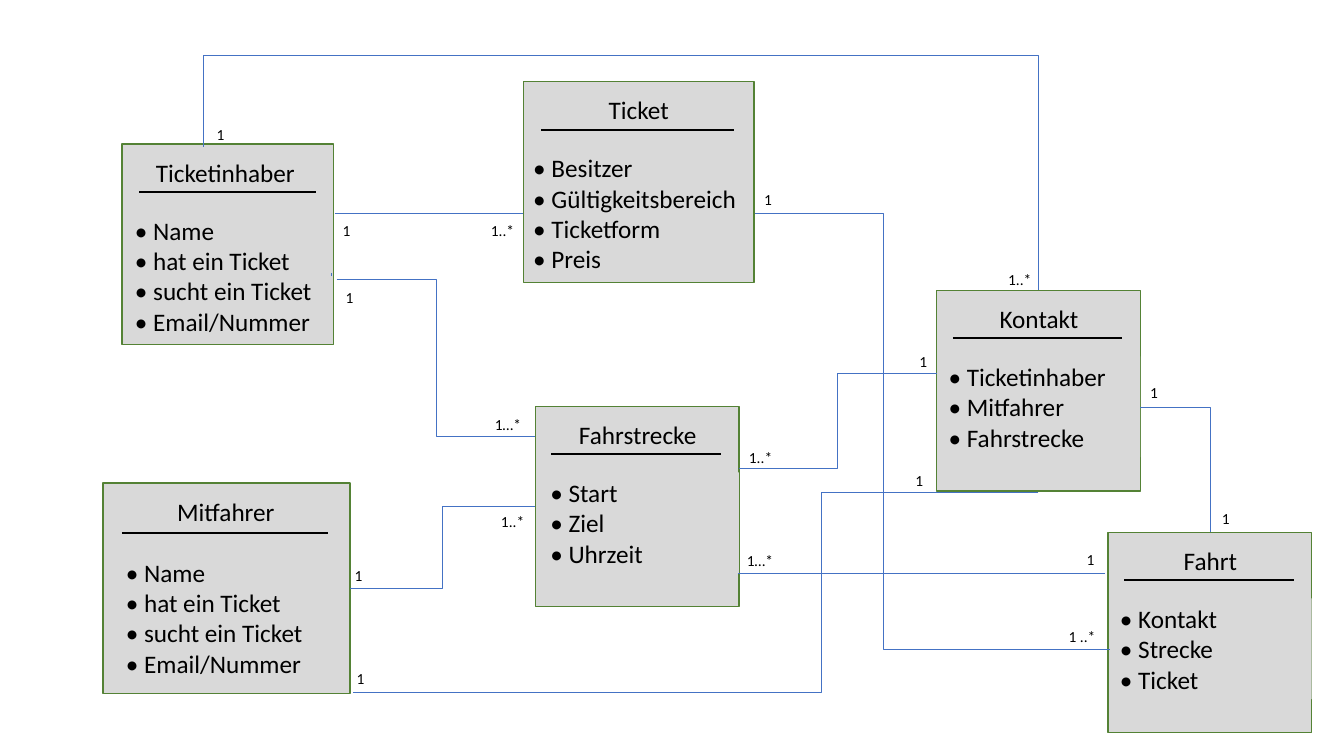
from lxml import etree
from pptx import Presentation
from pptx.dml.color import RGBColor
from pptx.enum import shapes, text
from pptx.oxml import ns
from pptx.util import Inches, Pt

GREY, GREEN, BLUE, BLACK = "D9D9D9", "548235", "4472C4", "000000"
PERSON = ["Name", "hat ein Ticket", "sucht ein Ticket", "Email/Nummer"]

# name, box (left, top, width, height), title (left, width),
# divider (left, right), attribute list (left, width), panel fill, attributes
CLASSES = [
    ("Ticketinhaber", (1.21, 1.43, 2.1, 1.99), (1.4, 1.67), (1.38, 3.13),
     (1.24, 2.03), GREY, PERSON),
    ("Ticket", (5.19, 0.81, 2.29, 1.99), (5.55, 1.57), (5.37, 7.28),
     (5.19, 2.29), None, ["Besitzer", "Gültigkeitsbereich", "Ticketform", "Preis"]),
    ("Fahrstrecke", (5.31, 4.03, 2.02, 1.99), (5.63, 1.39), (5.47, 7.15),
     (5.36, 1.97), GREY, ["Start", "Ziel", "Uhrzeit"]),
    ("Kontakt", (9.29, 2.88, 2.02, 1.99), (9.61, 1.39), (9.45, 11.13),
     (9.31, 2), GREY, ["Ticketinhaber", "Mitfahrer", "Fahrstrecke"]),
    ("Mitfahrer", (1.02, 4.79, 2.45, 2.09), (1.4, 1.68), (1.21, 3.25),
     (1.15, 2.29), GREY, PERSON),
    ("Fahrt", (10.99, 5.28, 2.02, 1.99), (11.31, 1.39), (11.15, 12.83),
     (11.01, 2), GREY, ["Kontakt", "Strecke", "Ticket"]),
]

STRAIGHT_LINKS = [
    ((3.29, 2.74), (3.29, 2.71)),
    ((2.02, 0.55), (2.02, 1.46)),
    ((7.32, 5.69), (10.96, 5.69)),
    ((3.32, 2.12), (5.19, 2.12)),
]
# one corner: across, then down
CORNER_LINKS = [
    ((2.02, 0.55), (10.3, 2.88)),
    ((11.31, 4.04), (12, 5.28)),
]
# two corners: start, end, share of the width before the first bend
STEP_LINKS = [
    ((10.3, 4.88), (3.5, 6.87), 0.316),
    ((7.49, 2.12), (11.01, 6.44), 0.36),
    ((3.34, 2.77), (5.31, 4.33), 0.5),
    ((3.47, 5.84), (5.31, 5.02), 0.5),
    ((7.33, 4.65), (9.29, 3.7), 0.5),
]

# wording, left, top, width
MULTIPLICITIES = [
    ("1", 3.3, 2.14, 0.4), ("1..*", 4.77, 2.14, 0.49),
    ("1", 3.42, 5.57, 0.33), ("1..*", 4.87, 5.03, 0.48),
    ("1", 2.05, 1.19, 0.4), ("1", 3.44, 6.59, 0.4),
    ("1", 8.98, 4.62, 0.4), ("1..*", 9.9, 2.63, 0.59),
    ("1…*", 7.31, 5.42, 0.56), ("1", 10.68, 5.41, 0.4),
    ("1 ..*", 10.5, 6.17, 0.55), ("1", 7.48, 1.84, 0.4),
    ("1", 11.31, 3.75, 0.4), ("1", 12.02, 5, 0.4),
    ("1", 3.33, 2.81, 0.4), ("1…*", 4.81, 4.07, 0.65),
    ("1..*", 7.33, 4.4, 0.46), ("1", 9.02, 3.44, 0.52),
]


def color(value):
    return RGBColor.from_string(value)


def add_text(parent, lines, box, size, align=text.PP_ALIGN.LEFT, fill=None):
    area = parent.add_textbox(*map(Inches, box))
    if fill:
        area.fill.solid()
        area.fill.fore_color.rgb = color(fill)
    frame = area.text_frame
    frame.word_wrap = True
    frame.text = "\n".join(lines)
    for paragraph in frame.paragraphs:
        paragraph.alignment = align
        font = paragraph.runs[0].font
        for key, value in {"name": "Calibri", "size": Pt(size)}.items():
            setattr(font, key, value)
        font.color.rgb = color(BLACK)


def add_link(parent, start, end, stroke=BLUE, width=0.5,
             kind=shapes.MSO_CONNECTOR.STRAIGHT):
    link = parent.add_connector(kind, *map(Inches, (*start, *end)))
    link.line.color.rgb = color(stroke)
    link.line.width = Pt(width)
    etree.SubElement(link._element.spPr, ns.qn("a:effectLst"))
    return link


def add_elbow(parent, start, end, preset, bend=None):
    """Add an elbow; bend moves the middle leg of a two-corner one."""
    link = add_link(parent, start, end, kind=shapes.MSO_CONNECTOR.ELBOW)
    geometry = link._element.spPr.find(ns.qn("a:prstGeom"))
    geometry.set("prst", preset)
    if bend is not None:
        guide = etree.SubElement(geometry.find(ns.qn("a:avLst")), ns.qn("a:gd"))
        guide.set("name", "adj1")
        guide.set("fmla", f"val {round(bend * 100000)}")


def add_class(slide, name, box, title, divider, listing, fill, attributes):
    left, top, width, height = box
    group = slide.shapes.add_group_shape().shapes
    frame = group.add_shape(shapes.MSO_SHAPE.RECTANGLE, *map(Inches, box))
    frame.shadow.inherit = False
    frame.fill.solid()
    frame.fill.fore_color.rgb = color(GREY)
    frame.line.color.rgb = color(GREEN)
    frame.line.width = Pt(1)
    add_text(group, [name], (title[0], top + 0.08, title[1], 0.4), 18,
             text.PP_ALIGN.CENTER, fill)
    rule_top = top + 0.24 * height
    add_link(group, (divider[0], rule_top), (divider[1], rule_top), BLACK, 1.5)
    list_box = (listing[0], top + 0.33 * height, listing[1],
                0.1 + 0.3 * len(attributes))
    add_text(group, [f"• {item}" for item in attributes], list_box, 18, fill=fill)


def main():
    deck = Presentation()
    deck.slide_width, deck.slide_height = Inches(13.33), Inches(7.5)
    slide = deck.slides.add_slide(deck.slide_layouts[6])
    for entry in CLASSES:
        add_class(slide, *entry)
    for start, end in STRAIGHT_LINKS:
        add_link(slide.shapes, start, end)
    for start, end in CORNER_LINKS:
        add_elbow(slide.shapes, start, end, "bentConnector2")
    for start, end, bend in STEP_LINKS:
        add_elbow(slide.shapes, start, end, "bentConnector3", bend)
    for wording, left, top, width in MULTIPLICITIES:
        add_text(slide.shapes, [wording], (left, top, width, 0.29), 11)
    deck.save("out.pptx")


if __name__ == "__main__":
    main()
